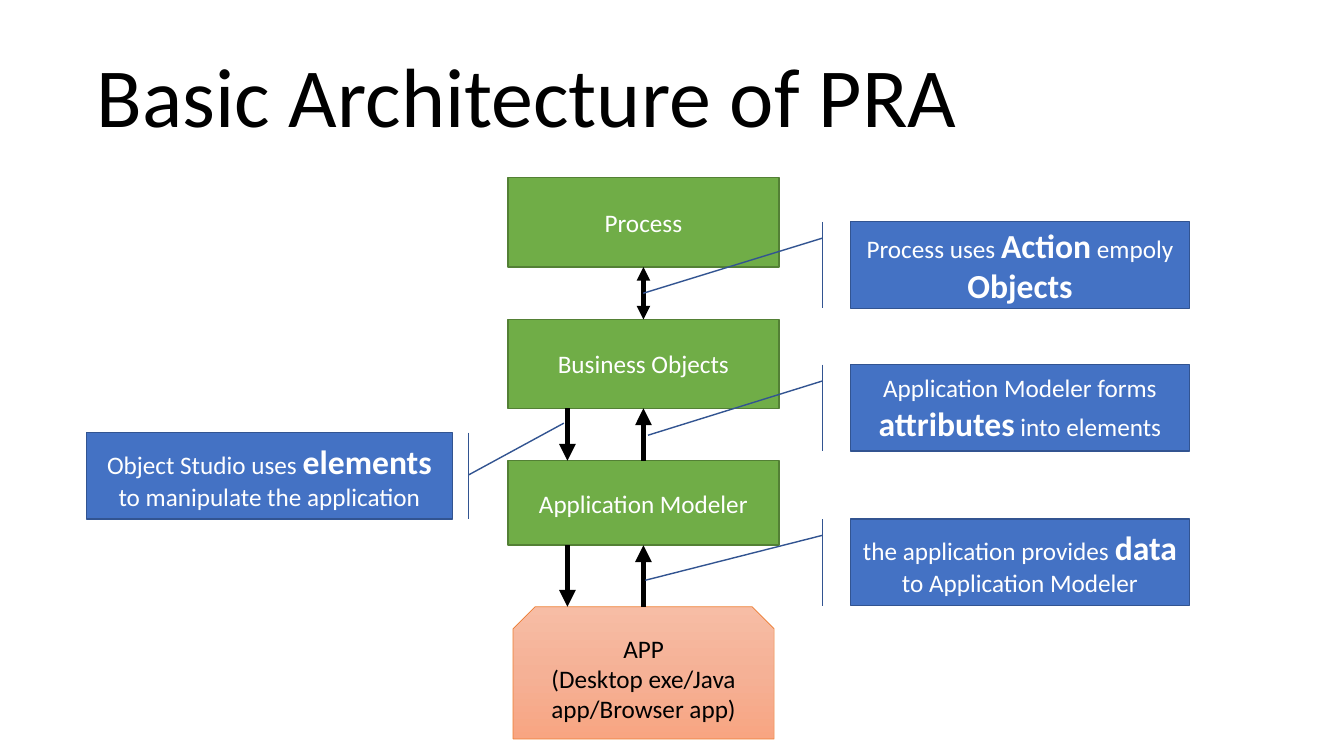
import copy

import pptx
import pptx.dml.color
import pptx.enum.shapes
import pptx.enum.text
import pptx.oxml
import pptx.oxml.ns
import pptx.util

Cm = pptx.util.Cm
Pt = pptx.util.Pt
RGB = pptx.dml.color.RGBColor
Kind = pptx.enum.shapes.MSO_SHAPE
Align = pptx.enum.text.PP_ALIGN
Anchor = pptx.enum.text.MSO_ANCHOR

BLACK = RGB(0x00, 0x00, 0x00)
WHITE = RGB(0xFF, 0xFF, 0xFF)
GREEN = RGB(0x70, 0xAD, 0x47)
MOSS = RGB(0x53, 0x80, 0x35)
BLUE = RGB(0x44, 0x72, 0xC4)
NAVY = RGB(0x32, 0x54, 0x91)
ORANGE = RGB(0xED, 0x7D, 0x31)
PEACH = (RGB(0xF7, 0xBD, 0xA5), RGB(0xF5, 0xB1, 0x96), RGB(0xF8, 0xA5, 0x82))

TOP, BOTTOM = 0, 2
LAYERS = (
    ("Process", 0, 2.26),
    ("Business Objects", 3.58, 2.24),
    ("Application Modeler", 7.14, 2.13),
)
NOTES = (
    (0, (0.188, -0.083, 0.826, -0.613),
     (("Process uses ", False), ("Action", True), (" empoly ", False), ("Objects", True))),
    (3.6, (0.188, -0.083, 0.816, -0.599),
     (("Application Modeler forms ", False), ("attributes", True), (" into elements", False))),
    (7.49, (0.188, -0.083, 0.708, -0.607),
     (("the application provides ", False), ("data", True), (" to Application Modeler", False))),
)
STUDIO = (
    (0.489, 1.045, -0.109, 1.305),
    (("Object Studio uses ", False), ("elements", True), (" to manipulate the application", False)),
)


def add_run(para, text, size, color, bold=False):
    """Add one styled run to a paragraph."""
    run = para.add_run()
    run.text = text
    run.font.name = "Calibri"
    run.font.size = Pt(size)
    run.font.bold = bold
    run.font.color.rgb = color


def add_box(slide, kind, box, edge, width=1):
    """Add an outlined shape whose text is centred."""
    shape = slide.shapes.add_shape(kind, *(Cm(v) for v in box))
    shape.shadow.inherit = False
    shape.line.color.rgb = edge
    shape.line.width = Pt(width)
    shape.text_frame.word_wrap = True
    shape.text_frame.vertical_anchor = Anchor.MIDDLE
    shape.text_frame.paragraphs[0].alignment = Align.CENTER
    return shape


def add_node(parent, name, attrs=""):
    """Append an empty drawing element to a parent."""
    space = pptx.oxml.ns.nsdecls("a")
    parent.append(pptx.oxml.parse_xml(f"<a:{name} {space} {attrs}/>"))


def add_arrow(slide, x, start, end, width=4, ends=("tailEnd",)):
    """Add a vertical black arrow with heads at the named ends."""
    arrow = slide.shapes.add_connector(
        pptx.enum.shapes.MSO_CONNECTOR.STRAIGHT, Cm(x), Cm(start), Cm(x), Cm(end))
    arrow.line.color.rgb = BLACK
    arrow.line.width = Pt(width)
    props = arrow.element.spPr
    for name in ends:
        add_node(props.find(pptx.oxml.ns.qn("a:ln")), name, 'type="triangle"')
    add_node(props, "effectLst")
    return arrow


def add_title(slide, box):
    """Place and fill the slide title."""
    title = slide.shapes.title
    title.left, title.top, title.width, title.height = (Cm(v) for v in box)
    frame = title.text_frame
    frame.auto_size = pptx.enum.text.MSO_AUTO_SIZE.NONE
    frame.vertical_anchor = Anchor.BOTTOM
    para = frame.paragraphs[0]
    para.alignment = Align.LEFT
    para.line_spacing = 0.9
    add_run(para, "Basic Architecture of PRA", 60, BLACK)


def add_app(slide, box):
    """Add the snipped application block with its gradient."""
    app = add_box(slide, Kind.SNIP_2_SAME_RECTANGLE, box, ORANGE, 0.5)
    app.fill.gradient()
    app.fill.gradient_angle = 270
    stops = app.element.spPr.find(".//" + pptx.oxml.ns.qn("a:gsLst"))
    stops.insert(1, copy.deepcopy(stops[0]))
    for stop, color, place in zip(app.fill.gradient_stops, PEACH, (0, 0.5, 1)):
        stop.color.rgb = color
        stop.position = place
    frame = app.text_frame
    add_run(frame.paragraphs[0], "APP", 18, BLACK)
    para = frame.add_paragraph()
    para.alignment = Align.CENTER
    add_run(para, "(Desktop exe/Java app/Browser app)", 18, BLACK)


def add_stack(slide, left, top, width):
    """Add the layers, the application and the arrows between them."""
    layers = []
    for text, drop, height in LAYERS:
        layer = add_box(slide, Kind.RECTANGLE, (left, top + drop, width, height), MOSS)
        layer.fill.solid()
        layer.fill.fore_color.rgb = GREEN
        add_run(layer.text_frame.paragraphs[0], text, 18, WHITE)
        layers.append(layer)
    floor = top + 10.82
    add_app(slide, (left + 0.13, floor, width - 0.25, 3.33))

    process, objects, model = layers
    tops = [top + drop for _, drop, _ in LAYERS]
    feet = [top + drop + height for _, drop, height in LAYERS]
    mid, side = left + width / 2, left + 1.5
    both = add_arrow(slide, mid, feet[0], tops[1], 3.25, ("headEnd", "tailEnd"))
    both.begin_connect(process, BOTTOM)
    both.end_connect(objects, TOP)
    rise = add_arrow(slide, mid, tops[2], feet[1])
    rise.begin_connect(model, TOP)
    rise.end_connect(objects, BOTTOM)
    add_arrow(slide, mid, floor, feet[2]).end_connect(model, BOTTOM)
    add_arrow(slide, side, feet[1], tops[2])
    add_arrow(slide, side, feet[2], floor)


def add_note(slide, box, bends, parts):
    """Add a callout whose key words are large and bold."""
    note = add_box(slide, Kind.LINE_CALLOUT_1_BORDER_AND_ACCENT_BAR, box, NAVY)
    note.fill.solid()
    note.fill.fore_color.rgb = BLUE
    for index, bend in enumerate(bends):
        note.adjustments[index] = bend
    for text, key in parts:
        add_run(note.text_frame.paragraphs[0], text, 24 if key else 18, WHITE, key)


def add_notes(slide, left, top, width, height):
    """Add the column of callouts on the right."""
    for drop, bends, parts in NOTES:
        add_note(slide, (left, top + drop, width, height), bends, parts)


def main():
    """Build and save the slide."""
    deck = pptx.Presentation()
    deck.slide_width, deck.slide_height = Cm(33.87), Cm(19.05)
    slide = deck.slides.add_slide(deck.slide_layouts[5])
    add_title(slide, (2.18, 0.86, 29.21, 2.95))
    add_stack(slide, 12.8, 4.47, 6.83)
    add_notes(slide, 21.44, 5.59, 8.53, 2.18)
    add_note(slide, (2.18, 10.9, 9.22, 2.18), *STUDIO)
    deck.save("out.pptx")


if __name__ == "__main__":
    main()
